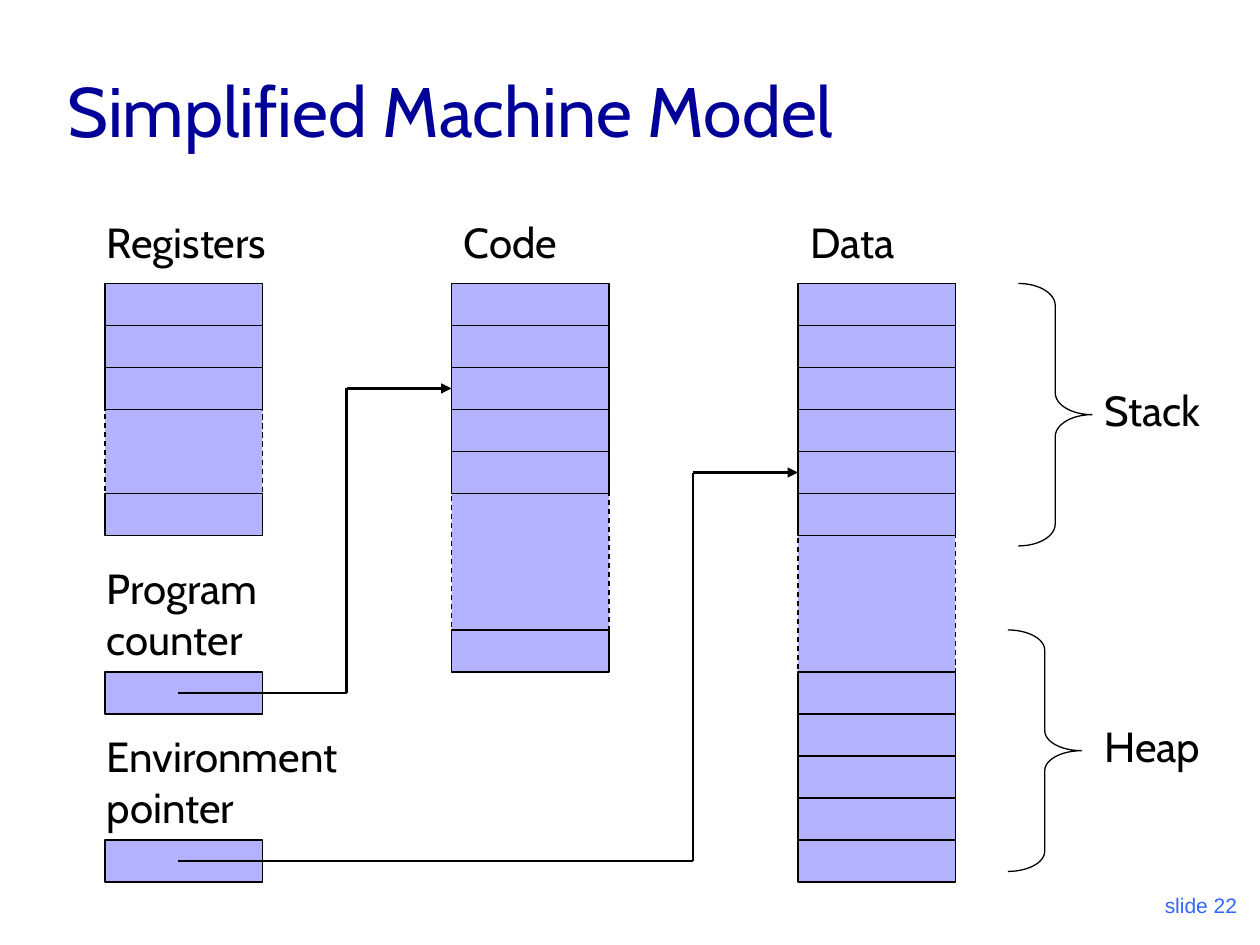
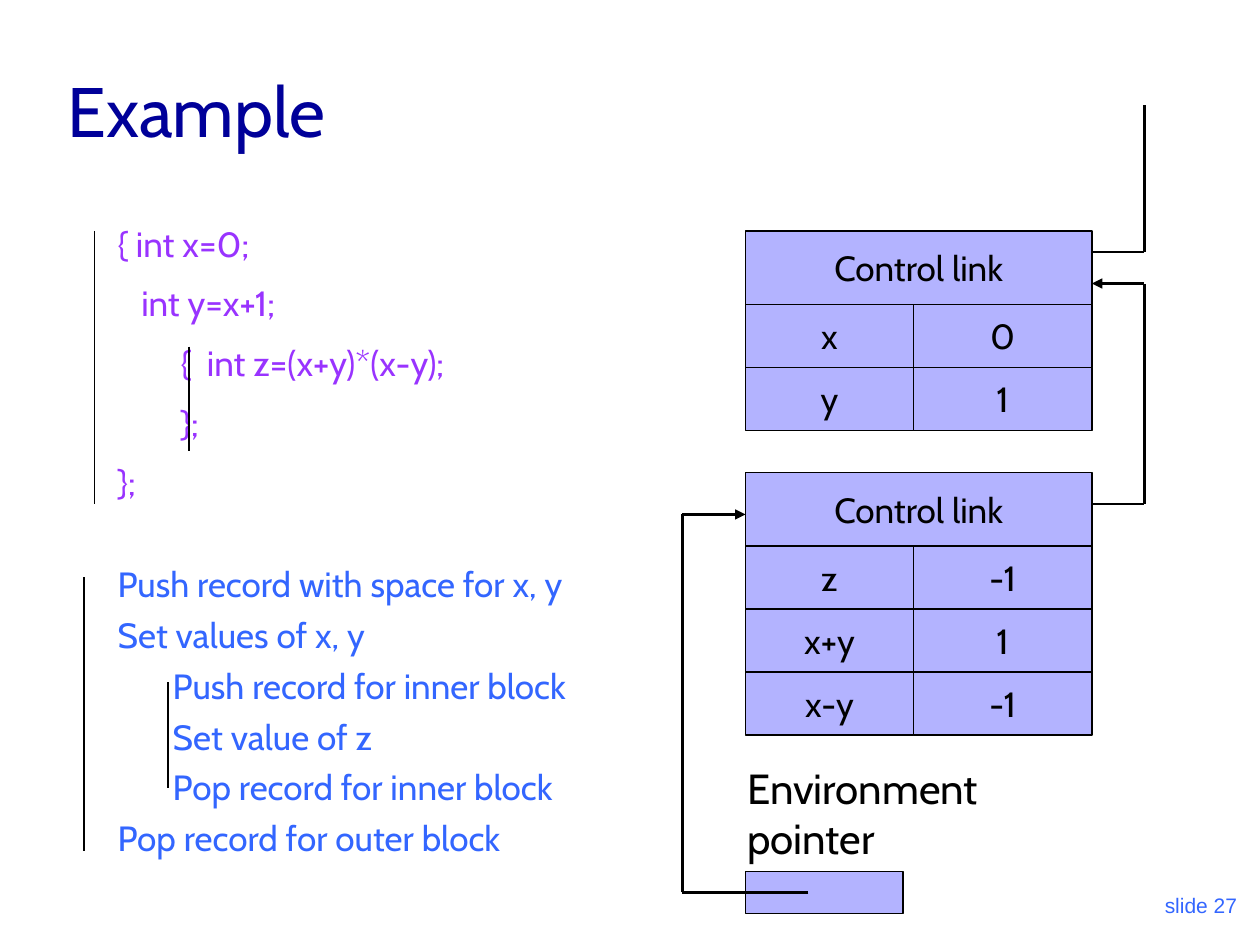
import pptx
import pptx.dml.color
import pptx.enum.dml
import pptx.enum.shapes
import pptx.enum.text
import pptx.oxml
import pptx.oxml.ns
import pptx.util

Pt = pptx.util.Pt
Shape = pptx.enum.shapes.MSO_SHAPE
Align = pptx.enum.text.PP_ALIGN
Anchor = pptx.enum.text.MSO_ANCHOR

COLORS = {
    "title": "000099",
    "cell": "B3B3FF",
    "ink": "000000",
    "code": "9933FF",
    "step": "3366FF",
}
CELL_WIDTH, CELL_HEIGHT = 90, 24
HEADER_HEIGHT, ROW_HEIGHT = 42, 36
NAME_WIDTH, VALUE_WIDTH = 96, 102


class MachineDeck:
    """Holds the lecture style and draws elements on the current slide."""

    def __init__(self):
        self.deck = pptx.Presentation()
        self.deck.slide_width, self.deck.slide_height = Pt(720), Pt(540)
        self.page = None

    def color(self, name):
        return pptx.dml.color.RGBColor.from_string(COLORS[name])

    def place(self, shape, left, top, width, height):
        shape.left, shape.top = Pt(left), Pt(top)
        shape.width, shape.height = Pt(width), Pt(height)

    def style(self, paragraph, size, color, font="Cabin", align=Align.LEFT):
        paragraph.alignment = align
        paragraph.font.size = Pt(size)
        paragraph.font.name = font
        paragraph.font.color.rgb = self.color(color)

    def new_page(self, layout, title, number):
        self.page = self.deck.slides.add_slide(self.deck.slide_layouts.get_by_name(layout))
        heading = self.page.shapes.title
        self.place(heading, 31.5, 18, 612, 72)
        heading.text_frame.text = title
        heading.text_frame.vertical_anchor = Anchor.BOTTOM
        self.style(heading.text_frame.paragraphs[0], 40, "title")
        footer = self.text(f"slide {number}", 564, 492, 150, 36)
        footer.vertical_anchor = Anchor.BOTTOM
        self.style(footer.paragraphs[0], 12, "step", "Arial", Align.RIGHT)

    def text(self, words, left, top, width, height):
        box = self.page.shapes.add_textbox(Pt(left), Pt(top), Pt(width), Pt(height))
        box.text_frame.word_wrap = True
        box.text_frame.text = words
        return box.text_frame

    def label(self, words, left, top, width=150, height=36):
        frame = self.text(words, left, top, width, height)
        self.style(frame.paragraphs[0], 24, "ink")

    def listing(self, index, area, lines, color, gap, spacing=1.0):
        body = self.page.placeholders[index]
        self.place(body, *area)
        frame = body.text_frame
        frame.auto_size = pptx.enum.text.MSO_AUTO_SIZE.NONE
        for position, (indent, words) in enumerate(lines):
            paragraph = frame.add_paragraph() if position else frame.paragraphs[0]
            paragraph.text = words
            properties = paragraph._p.get_or_add_pPr()
            properties.set("marL", str(Pt(indent)))
            properties.set("indent", "0")
            pptx.oxml.ns.qn("a:buNone")
            properties.append(pptx.oxml.parse_xml(
                f'<a:buNone {pptx.oxml.ns.nsdecls("a")}/>'))
            paragraph.line_spacing = spacing
            paragraph.space_before = Pt(gap if position else 0)
            self.style(paragraph, 20, color)

    def outline(self, shape):
        shape.shadow.inherit = False
        shape.line.color.rgb = self.color("ink")
        shape.line.width = Pt(0.75)

    def cell(self, left, top, width=CELL_WIDTH, height=CELL_HEIGHT, words="", dashed=False):
        box = self.page.shapes.add_shape(
            Shape.RECTANGLE, Pt(left), Pt(top), Pt(width), Pt(height))
        self.outline(box)
        box.fill.solid()
        box.fill.fore_color.rgb = self.color("cell")
        if dashed:
            box.line.dash_style = pptx.enum.dml.MSO_LINE.DASH
        if words:
            box.text_frame.text = words
            box.text_frame.word_wrap = False
            box.text_frame.vertical_anchor = Anchor.MIDDLE
            self.style(box.text_frame.paragraphs[0], 20, "ink", align=Align.CENTER)

    def memory(self, left, top, upper, gap, lower):
        gap_top = top + upper * CELL_HEIGHT
        self.cell(left, gap_top, height=gap, dashed=True)
        for row in range(upper):
            self.cell(left, top + row * CELL_HEIGHT)
        for row in range(lower):
            self.cell(left, gap_top + gap + row * CELL_HEIGHT)

    def record(self, left, top, variables):
        self.cell(left, top, NAME_WIDTH + VALUE_WIDTH, HEADER_HEIGHT, "Control link")
        for row, (name, value) in enumerate(variables):
            row_top = top + HEADER_HEIGHT + row * ROW_HEIGHT
            self.cell(left, row_top, NAME_WIDTH, ROW_HEIGHT, name)
            self.cell(left + NAME_WIDTH, row_top, VALUE_WIDTH, ROW_HEIGHT, value)

    def pointer(self, words, left, top):
        self.label(words, left - 6, top - 66, height=65)
        self.cell(left, top)

    def brace(self, left, top, width, height):
        brace = self.page.shapes.add_shape(
            Shape.RIGHT_BRACE, Pt(left), Pt(top), Pt(width), Pt(height))
        self.outline(brace)
        brace.fill.background()
        brace.adjustments[0] = height / 12 / width

    def route(self, *points, width=1.5, arrow=True):
        for start, end in zip(points, points[1:]):
            line = self.page.shapes.add_connector(
                pptx.enum.shapes.MSO_CONNECTOR.STRAIGHT, *map(Pt, start + end))
            line.line.color.rgb = self.color("ink")
            line.line.width = Pt(width)
            properties = line._element.spPr
            properties.append(properties.makeelement(pptx.oxml.ns.qn("a:effectLst"), {}))
        if arrow:
            edge = line.line._get_or_add_ln()
            edge.append(edge.makeelement(pptx.oxml.ns.qn("a:tailEnd"), {"type": "triangle"}))

    def scope(self, left, top, bottom):
        self.route((left, top), (left, bottom), width=0.75, arrow=False)


def draw_machine_model(show):
    """Draws the registers, code and data memory with their pointers."""
    show.new_page("Title Only", "Simplified Machine Model", 22)
    for words, label_left, left, upper, gap, lower in [
        ("Registers", 54, 60, 3, 48, 1),
        ("Code", 258, 258, 5, 78, 1),
        ("Data", 456, 456, 6, 78, 5),
    ]:
        show.label(words, label_left, 120)
        show.memory(left, 162, upper, gap, lower)
    show.pointer("Program counter", 60, 384)
    show.pointer("Environment pointer", 60, 480)
    show.label("Stack", 624, 216, 78)
    show.label("Heap", 624, 408, 72)
    show.brace(582, 162, 42, 150)
    show.brace(576, 360, 42, 138)
    show.route((102, 396), (198, 396), (198, 222), (258, 222))
    show.route((102, 492), (396, 492), (396, 270), (456, 270))


def draw_example(show):
    """Draws nested blocks beside their activation records."""
    show.new_page("Two Content", "Example", 27)
    code = [
        "{ int x=0;",
        "   int y=x+1;",
        "        {  int z=(x+y)*(x-y);",
        "        };",
        "};",
    ]
    show.listing(1, (24, 126, 288, 192), [(36, line) for line in code], "code", 12.5, 0.9)
    show.scope(54, 132, 288)
    show.scope(108, 198, 258)
    outer, inner = 36, 67.5
    steps = [
        (outer, "Push record with space for x, y"),
        (outer, "Set values of x, y"),
        (inner, "Push record for inner block"),
        (inner, "Set value of z"),
        (inner, "Pop record for inner block"),
        (outer, "Pop record for outer block"),
    ]
    show.listing(2, (24, 318, 366, 204), steps, "step", 5)
    show.scope(48, 330, 486)
    show.scope(96, 390, 450)
    show.record(426, 132, [("x", "0"), ("y", "1")])
    show.record(426, 270, [("z", "-1"), ("x+y", "1"), ("x-y", "-1")])
    show.pointer("Environment pointer", 426, 498)
    show.route((624, 144), (654, 144), (654, 60), arrow=False)
    show.route((624, 288), (654, 288), (654, 162), (624, 162))
    show.route((462, 510), (390, 510), (390, 294), (426, 294))


def main():
    """Builds and saves the two slides."""
    show = MachineDeck()
    draw_machine_model(show)
    draw_example(show)
    show.deck.save("out.pptx")


if __name__ == "__main__":
    main()
